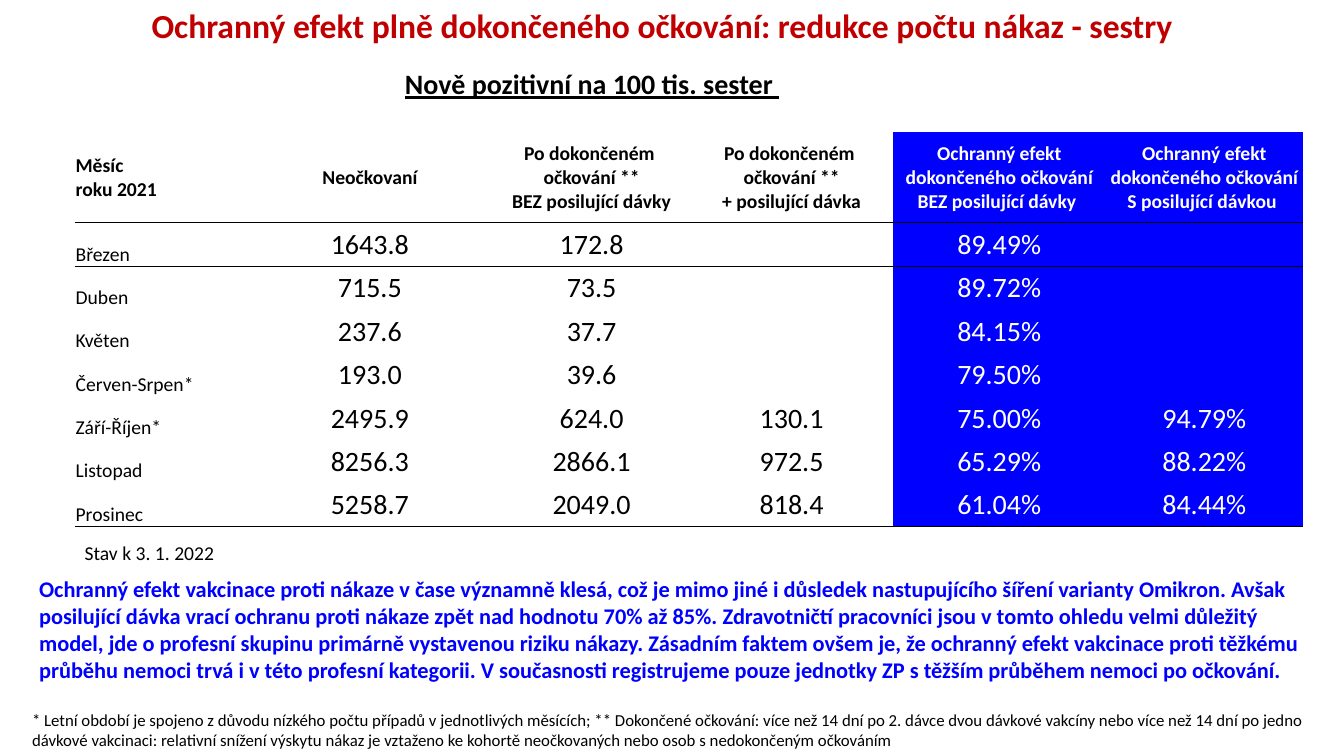
"""Builds a slide on vaccine protection among nurses: a table with explanatory text."""
from lxml import etree
from pptx import Presentation
from pptx.dml import color
from pptx.enum import text
from pptx.oxml import ns
from pptx.util import Pt

RED, BLUE, BLACK, WHITE = "C00000", "0000FF", "000000", "FFFFFF"
LEFT, CENTER = text.PP_ALIGN.LEFT, text.PP_ALIGN.CENTER
PLAIN_STYLE = "{2D5ABB26-0587-4C30-8999-92F81FD0307C}"

HEADERS = [
    ["Měsíc", "roku 2021"],
    ["Neočkovaní"],
    ["Po dokončeném ", "očkování **", "BEZ posilující dávky"],
    ["Po dokončeném ", "očkování **", "+ posilující dávka"],
    ["Ochranný efekt dokončeného očkování BEZ posilující dávky "],
    ["Ochranný efekt dokončeného očkování S posilující dávkou "],
]
MONTHS = [
    ["Březen", "1643.8", "172.8", "", "89.49%", ""],
    ["Duben", "715.5", "73.5", "", "89.72%", ""],
    ["Květen", "237.6", "37.7", "", "84.15%", ""],
    ["Červen-Srpen*", "193.0", "39.6", "", "79.50%", ""],
    ["Září-Říjen*", "2495.9", "624.0", "130.1", "75.00%", "94.79%"],
    ["Listopad", "8256.3", "2866.1", "972.5", "65.29%", "88.22%"],
    ["Prosinec", "5258.7", "2049.0", "818.4", "61.04%", "84.44%"],
]
COLUMN_WIDTHS = [123.1, 175.7, 141.1, 144.7, 151.9, 141.1]
ROW_HEIGHT, HEADER_HEIGHT = 31, 64.8
FIRST_EFFECT_COLUMN = 4

MESSAGE = (
    "Ochranný efekt vakcinace proti nákaze v čase významně klesá, což je mimo jiné i důsledek "
    "nastupujícího šíření varianty Omikron. Avšak posilující dávka vrací ochranu proti nákaze "
    "zpět nad hodnotu 70% až 85%. Zdravotničtí pracovníci jsou v tomto ohledu velmi důležitý "
    "model, jde o profesní skupinu primárně vystavenou riziku nákazy. Zásadním faktem ovšem je, "
    "že ochranný efekt vakcinace proti těžkému průběhu nemoci trvá i v této profesní kategorii. "
    "V současnosti registrujeme pouze jednotky ZP s těžším průběhem nemoci po očkování."
)
FOOTNOTE = (
    "* Letní období je spojeno z důvodu nízkého počtu případů v jednotlivých měsících; "
    "** Dokončené očkování: více než 14 dní po 2. dávce dvou dávkové vakcíny nebo více než "
    "14 dní po jedno dávkové vakcinaci: relativní snížení výskytu nákaz je vztaženo ke kohortě "
    "neočkovaných nebo osob s nedokončeným očkováním"
)


def rgb(value):
    return color.RGBColor.from_string(value)


class SlideBuilder:
    def __init__(self, page, font="Calibri"):
        self.page = page
        self.font = font

    def add_lines(self, frame, lines, size, tint=BLACK, bold=False, underline=None, align=LEFT):
        for index, line in enumerate(lines):
            para = frame.add_paragraph() if index else frame.paragraphs[0]
            para.alignment = align
            span = para.add_run()
            span.text = line
            span.font.name = self.font
            span.font.size = Pt(size)
            span.font.bold = bold
            span.font.underline = underline
            span.font.color.rgb = rgb(tint)

    def text_box(self, left, top, width, height, words, size, grow=True, spacing=None, **style):
        box = self.page.shapes.add_textbox(Pt(left), Pt(top), Pt(width), Pt(height))
        frame = box.text_frame
        frame.word_wrap = True
        if grow:
            frame.auto_size = text.MSO_AUTO_SIZE.SHAPE_TO_FIT_TEXT
        self.add_lines(frame, [words], size, **style)
        if spacing:
            frame.paragraphs[0].line_spacing = spacing

    def table(self, left, top, widths, heights):
        frame = self.page.shapes.add_table(
            len(heights), len(widths), Pt(left), Pt(top), Pt(sum(widths)), Pt(sum(heights)))
        frame.element.find(".//" + ns.qn("a:tableStyleId")).text = PLAIN_STYLE
        grid = frame.table
        grid.first_row = grid.horz_banding = False
        for column, width in zip(grid.columns, widths):
            column.width = Pt(width)
        for row, height in zip(grid.rows, heights):
            row.height = Pt(height)
        return grid

    def cell(self, cell, lines, size, fill=None, anchor=text.MSO_ANCHOR.MIDDLE, **style):
        cell.margin_left = cell.margin_right = cell.margin_top = Pt(0.72)
        cell.margin_bottom = Pt(0)
        cell.vertical_anchor = anchor
        if fill:
            cell.fill.solid()
            cell.fill.fore_color.rgb = rgb(fill)
        else:
            cell.fill.background()
        if any(lines):
            self.add_lines(cell.text_frame, lines, size, **style)

    def rule(self, cell, side):
        line = etree.Element(ns.qn("a:" + side), w=str(Pt(1)))
        fill = etree.SubElement(line, ns.qn("a:solidFill"))
        etree.SubElement(fill, ns.qn("a:srgbClr"), val=BLACK)
        cell._tc.get_or_add_tcPr().insert(0, line)


def add_infection_table(builder):
    heights = [ROW_HEIGHT, HEADER_HEIGHT] + [ROW_HEIGHT] * len(MONTHS)
    grid = builder.table(53.3, 63.4, COLUMN_WIDTHS, heights)
    for column, header in enumerate(HEADERS):
        effect = column >= FIRST_EFFECT_COLUMN
        fill, tint = (BLUE, WHITE) if effect else (None, BLACK)
        align = CENTER if column else LEFT
        builder.cell(grid.cell(0, column), [], 14)
        builder.cell(grid.cell(1, column), header, 14, fill, tint=tint, bold=True, align=align)
        anchor = text.MSO_ANCHOR.MIDDLE if column else text.MSO_ANCHOR.BOTTOM
        for row, values in enumerate(MONTHS, 2):
            builder.cell(grid.cell(row, column), [values[column]], 20 if column else 14,
                         fill, anchor, tint=tint, align=align)
        for row, side in [(1, "lnB"), (2, "lnT"), (len(heights) - 1, "lnB")]:
            builder.rule(grid.cell(row, column), side)
    grid.cell(0, 2).merge(grid.cell(0, 5))


def main():
    deck = Presentation()
    deck.slide_width, deck.slide_height = Pt(960), Pt(540)
    builder = SlideBuilder(deck.slides.add_slide(deck.slide_layouts[6]))
    builder.text_box(15.8, 2.9, 914.4, 104.4,
                     "Ochranný efekt plně dokončeného očkování: redukce počtu nákaz - sestry",
                     24, grow=False, spacing=0.9, tint=RED, bold=True, align=CENTER)
    builder.text_box(263.5, 43.9, 319, 31.7, "Nově pozitivní na 100 tis. sester ", 20,
                     bold=True, underline=True, align=CENTER)
    builder.text_box(15.8, 503.3, 935.3, 36, FOOTNOTE, 12)
    builder.text_box(20.9, 407.5, 926.6, 85, MESSAGE, 16, tint=BLUE, bold=True)
    add_infection_table(builder)
    builder.text_box(53.3, 383, 159.1, 24.5, "Stav k 3. 1. 2022", 14)
    deck.save("out.pptx")


if __name__ == "__main__":
    main()
